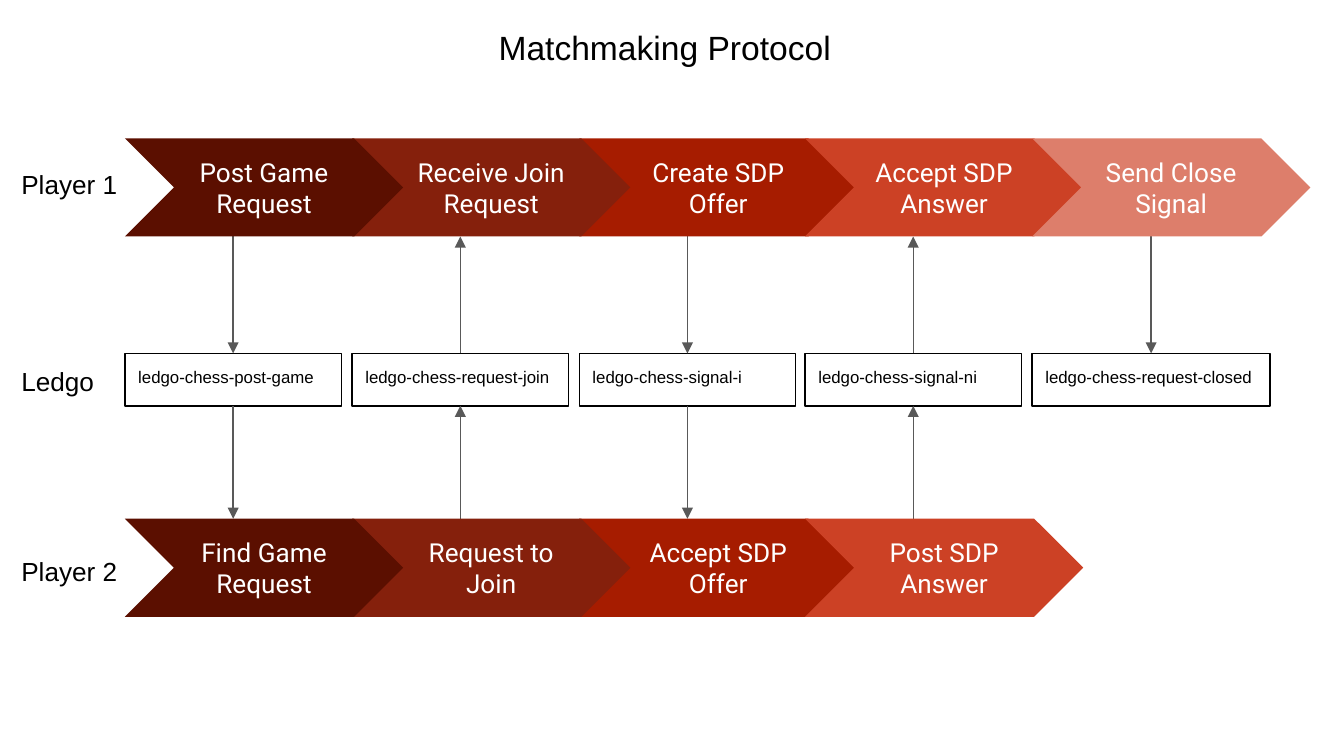
from lxml import etree
from pptx import Presentation
from pptx import util as u
from pptx.dml.color import RGBColor
from pptx.enum import shapes, text
from pptx.oxml.ns import qn

PX = 9144  # EMU per px, 100 px to the inch
COLORS = {"ink": "000000", "paper": "FFFFFF", "arrow": "595959"}
STEP_COLORS = ["5B0F00", "85200C", "A61C00", "CC4125", "DD7E6B"]
INSETS = {"margin_left": 10 * PX, "margin_right": 10 * PX,
          "margin_top": 10 * PX, "margin_bottom": 10 * PX, "word_wrap": True}


def write(shape, words, size, font="Arial", color=COLORS["ink"],
          align=text.PP_ALIGN.LEFT, anchor=text.MSO_ANCHOR.TOP):
    frame = shape.text_frame
    for name, value in INSETS.items():
        setattr(frame, name, value)
    frame.auto_size = text.MSO_AUTO_SIZE.NONE
    frame.vertical_anchor = anchor
    frame.text = words
    paragraph = frame.paragraphs[0]
    paragraph.alignment = align
    run_font = paragraph.runs[0].font
    for name, value in {"name": font, "size": u.Pt(size)}.items():
        setattr(run_font, name, value)
    run_font.color.rgb = RGBColor.from_string(color)


def add_block(kind, left, top, width, height, fill):
    block = slide.shapes.add_shape(kind, left * PX, top * PX, width * PX, height * PX)
    block.shadow.inherit = False
    block.fill.solid()
    block.fill.fore_color.rgb = RGBColor.from_string(fill)
    return block


# Slide in 16:9
deck = Presentation()
deck.slide_width = 1000 * PX
deck.slide_height = deck.slide_width * 9 // 16
slide = deck.slides.add_slide(deck.slide_layouts[5])

# Title
title = slide.shapes.title
title.left, title.top, title.width, title.height = 361 * PX, 10 * PX, 279 * PX, 52 * PX
write(title, "Matchmaking Protocol", 18)

# Row labels
for label, top in [("Player 1", 115), ("Ledgo", 262), ("Player 2", 403)]:
    row_label = slide.shapes.add_textbox(6 * PX, top * PX, 98 * PX, 39 * PX)
    write(row_label, label, 14)

# Message boxes in the middle row
columns = [93 + round(168.75 * i) for i in range(5)]
messages = ["post-game", "request-join", "signal-i", "signal-ni", "request-closed"]
message_boxes = []
for left, message in zip(columns, messages):
    width = 177 if message == "request-closed" else 161
    box = add_block(shapes.MSO_SHAPE.RECTANGLE, left, 263, width, 39, COLORS["paper"])
    box.line.color.rgb = RGBColor.from_string(COLORS["ink"])
    box.line.width = u.Pt(0.75)
    write(box, f"ledgo-chess-{message}", 9)
    message_boxes.append(box)

# Arrows: columns 2 and 4 run up from player 2, the others down from player 1
for i, box in enumerate(message_boxes):
    center = box.left + box.width // 2
    runs_up = i % 2 == 1
    player_ends = [(0, 176 if runs_up else 172)]
    if i < 4:
        player_ends.append((2, 409 if runs_up else 386))
    for side, player_y in player_ends:
        into_box = (side == 2) == runs_up
        arrow = slide.shapes.add_connector(
            shapes.MSO_CONNECTOR.STRAIGHT, center, player_y * PX, center, player_y * PX)
        if into_box:
            arrow.end_connect(box, side)
        else:
            arrow.begin_connect(box, side)
        arrow.line.color.rgb = RGBColor.from_string(COLORS["arrow"])
        arrow.line.width = u.Pt(0.75)
        properties = arrow._element.spPr
        etree.SubElement(properties.find(qn("a:ln")), qn("a:tailEnd"), type="triangle")
        etree.SubElement(properties, qn("a:effectLst"))

# Player steps; the first chevron lies over the second, the second over the third
player_steps = {
    103: ["Post Game Request", "Receive Join Request", "Create SDP Offer",
          "Accept SDP Answer", "Send Close Signal"],
    386: ["Find Game Request", "Request to Join", "Accept SDP Offer", "Post SDP Answer"],
}
for top, steps in player_steps.items():
    for i in [2, 1, 3, 4, 0]:
        if i < len(steps):
            step = add_block(shapes.MSO_SHAPE.CHEVRON, columns[i], top, 207, 73, STEP_COLORS[i])
            step.line.fill.background()
            write(step, steps[i], 14, "Roboto", COLORS["paper"],
                  text.PP_ALIGN.CENTER, text.MSO_ANCHOR.MIDDLE)

deck.save("out.pptx")
